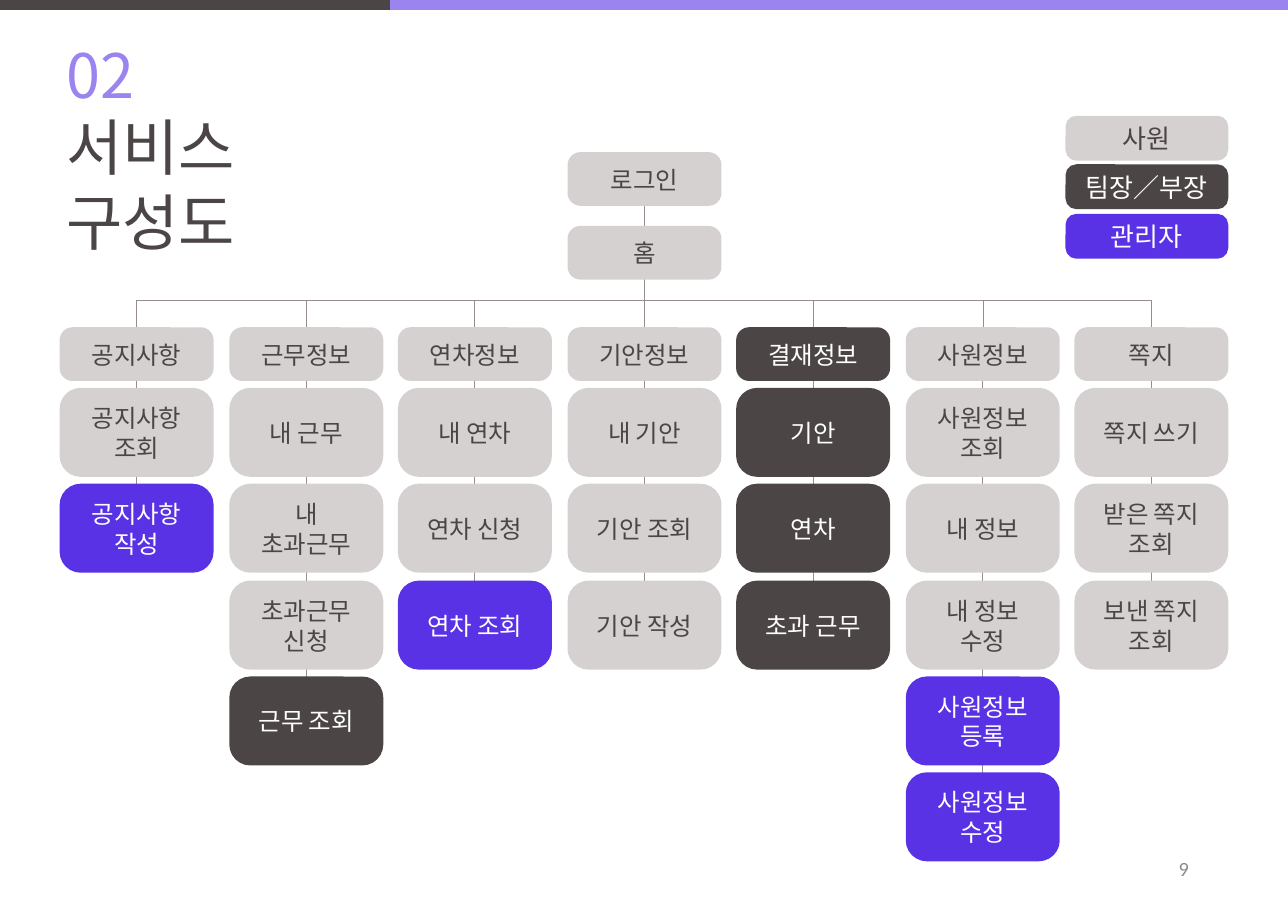
import pptx
import pptx.util
import pptx.dml.color
import pptx.enum.shapes
import pptx.enum.text
import lxml.etree

RGB = pptx.dml.color.RGBColor
SHAPE = pptx.enum.shapes.MSO_SHAPE
LINK = pptx.enum.shapes.MSO_CONNECTOR
ALIGN = pptx.enum.text.PP_ALIGN
ANCHOR = pptx.enum.text.MSO_ANCHOR

WHITE = RGB(0xFF, 0xFF, 0xFF)
DARK = RGB(0x4C, 0x45, 0x45)
LILAC = RGB(0x9B, 0x84, 0xF0)
VIOLET = RGB(0x59, 0x32, 0xE6)
PALE = RGB(0xD5, 0xD1, 0xD1)
STONE = RGB(0x96, 0x8C, 0x8C)
GRAY = RGB(0x8C, 0x8C, 0x8C)

WIDTH, HEIGHT = 1169, 827
BOX, HEAD, CELL = 138, 47, 79
TOP, BUS = 298, 272

# Heading first, then the pages below it
STAFF, LEAD, ADMIN = PALE, DARK, VIOLET
MENU = [
    [("공지사항", STAFF), ("공지사항\n조회", STAFF), ("공지사항\n작성", ADMIN)],
    [("근무정보", STAFF), ("내 근무", STAFF), ("내 초과근무", STAFF),
     ("초과근무\n신청", STAFF), ("근무 조회", LEAD)],
    [("연차정보", STAFF), ("내 연차", STAFF), ("연차 신청", STAFF),
     ("연차 조회", ADMIN)],
    [("기안정보", STAFF), ("내 기안", STAFF), ("기안 조회", STAFF),
     ("기안 작성", STAFF)],
    [("결재정보", LEAD), ("기안", LEAD), ("연차", LEAD), ("초과 근무", LEAD)],
    [("사원정보", STAFF), ("사원정보\n조회", STAFF), ("내 정보", STAFF),
     ("내 정보 수정", STAFF), ("사원정보\n등록", ADMIN),
     ("사원정보\n수정", ADMIN)],
    [("쪽지", STAFF), ("쪽지 쓰기", STAFF), ("받은 쪽지 조회", STAFF),
     ("보낸 쪽지 조회", STAFF)],
]
LEGEND = [("사원", STAFF), ("팀장／부장", LEAD), ("관리자", ADMIN)]


def px(count):
    """Turn px, a hundredth of an inch each, into EMU."""
    return pptx.util.Emu(count * 9144)


class Sheet:
    """Holds the style and the slide being drawn."""

    font = "Noto Sans CJK KR"
    leading = 1.22

    def __init__(self, slide):
        self.slide = slide
        self.shapes = slide.shapes

    def words(self, shape, text, size, color, align, inset=10, font=None):
        frame = shape.text_frame
        frame.word_wrap = True
        frame.margin_left = px(inset)
        frame.margin_right = px(min(inset, 11))
        frame.margin_top = frame.margin_bottom = px(5)
        for i, line in enumerate(text.split("\n")):
            para = frame.add_paragraph() if i else frame.paragraphs[0]
            para.alignment = align
            para.line_spacing = pptx.util.Pt(round(size * self.leading, 1))
            run = para.add_run()
            run.text = line
            run.font.size = pptx.util.Pt(size)
            run.font.name = font or self.font
            run.font.color.rgb = color
            if not font:
                east = lxml.etree.SubElement(
                    run.font._element, pptx.oxml.ns.qn("a:ea"))
                east.set("typeface", self.font)

    def title(self, text, x, y, w, h):
        shape = self.shapes.title
        shape.left, shape.top, shape.width, shape.height = map(px, (x, y, w, h))
        shape.text_frame.auto_size = pptx.enum.text.MSO_AUTO_SIZE.NONE
        shape.text_frame.vertical_anchor = ANCHOR.TOP
        self.words(shape, text, 40, DARK, ALIGN.LEFT, 60)

    def label(self, text, x, y, w, h, size, color, align, **style):
        shape = self.shapes.add_textbox(px(x), px(y), px(w), px(h))
        self.words(shape, text, size, color, align, **style)
        return shape

    def bar(self, x, w, color):
        shape = self.shapes.add_shape(
            SHAPE.RECTANGLE, px(x), 0, px(w), px(9))
        shape.shadow.inherit = False
        shape.fill.solid()
        shape.fill.fore_color.rgb = color
        shape.line.fill.background()

    def box(self, text, x, y, w, h, color, size=16):
        shape = self.shapes.add_shape(
            SHAPE.ROUNDED_RECTANGLE, px(x), px(y), px(w), px(h))
        shape.adjustments[0] = 0.23
        shape.shadow.inherit = False
        shape.fill.solid()
        shape.fill.fore_color.rgb = color
        shape.line.color.rgb = color
        shape.line.width = pptx.util.Pt(1.25)
        shape.text_frame.vertical_anchor = ANCHOR.MIDDLE
        ink = DARK if color == PALE else WHITE
        self.words(shape, text, size, ink, ALIGN.CENTER, 11)

    def link(self, kind, x1, y1, x2, y2):
        line = self.shapes.add_connector(kind, px(x1), px(y1), px(x2), px(y2))
        line.line.color.rgb = STONE
        line.line.width = pptx.util.Pt(0.5)
        lxml.etree.SubElement(
            line._element.spPr, pptx.oxml.ns.qn("a:effectLst"))
        return line

    def stem(self, x, y1, y2):
        self.link(LINK.STRAIGHT, x, y1, x, y2)

    def bridge(self, x1, x2):
        """Join two column heads by an elbow turned a quarter, along the bus."""
        span, mid = x2 - x1, (x1 + x2) // 2
        low = TOP + span // 2
        line = self.link(LINK.ELBOW, mid + 1, low, mid, low - span)
        props = line._element.spPr
        props.find(pptx.oxml.ns.qn("a:xfrm")).set("rot", "5400000")
        guides = props.find(".//" + pptx.oxml.ns.qn("a:avLst"))
        guide = lxml.etree.SubElement(guides, pptx.oxml.ns.qn("a:gd"))
        guide.set("name", "adj1")
        guide.set("fmla", f"val {(TOP - BUS) * 100000}")


def cell_top(row):
    return round(353 + 87.3 * (row - 1)) if row else TOP


def main():
    deck = pptx.Presentation()
    deck.slide_width, deck.slide_height = px(WIDTH), px(HEIGHT)
    sheet = Sheet(deck.slides.add_slide(deck.slide_layouts[5]))

    sheet.bar(0, 354, DARK)
    sheet.bar(354, WIDTH - 354, LILAC)
    sheet.title("서비스\n구성도", 0, 93, WIDTH, 145)
    sheet.label("02", 0, 28, WIDTH, 77, 40, LILAC, ALIGN.LEFT, inset=60)
    page = sheet.label("9", 826, 766, 263, 44, 13.2, GRAY, ALIGN.RIGHT,
                       font="Calibri")
    page.text_frame.vertical_anchor = ANCHOR.MIDDLE

    lefts = [(111 + 307 * i) // 2 for i in range(len(MENU))]
    mids = [x + BOX // 2 for x in lefts]

    sheet.stem(mids[3], 139, TOP)
    for i in range(3):
        sheet.bridge(mids[i], mids[-1 - i])
    for mid, pages in zip(mids, MENU):
        sheet.stem(mid, TOP, cell_top(len(pages) - 1) + CELL)

    for i, text in enumerate(["로그인", "홈"]):
        sheet.box(text, lefts[3], 139 + 67 * i, BOX, HEAD, STAFF)
    for i, (text, color) in enumerate(LEGEND):
        sheet.box(text, 968, round(106 + 44.5 * i), 146, 39, color, 17)
    for x, pages in zip(lefts, MENU):
        for row, (text, color) in enumerate(pages):
            high = CELL if row else HEAD
            sheet.box(text, x, cell_top(row), BOX, high, color)

    deck.save("out.pptx")


if __name__ == "__main__":
    main()
